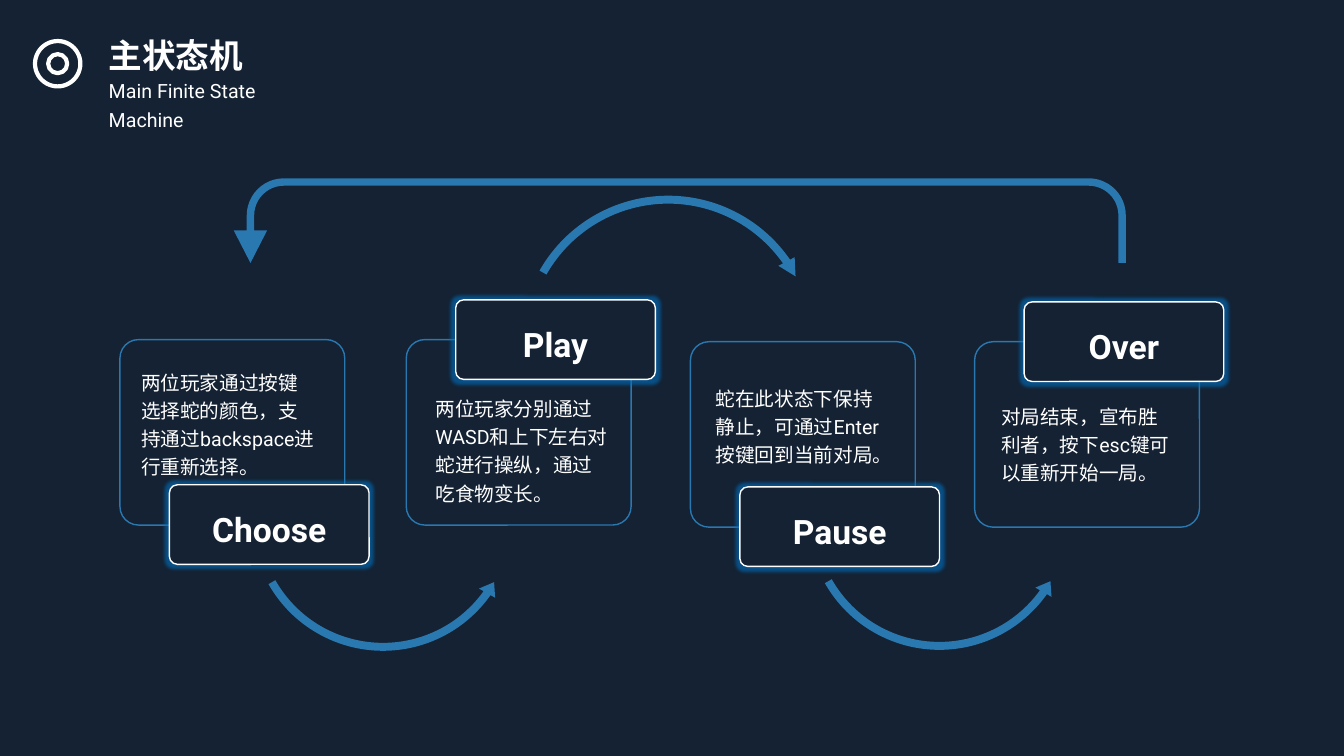
from lxml import etree
from pptx import Presentation
from pptx.dml.color import RGBColor
from pptx.enum.shapes import MSO_SHAPE
from pptx.enum.text import MSO_ANCHOR, MSO_AUTO_SIZE, PP_ALIGN
from pptx.oxml.ns import qn
from pptx.util import Pt

ROUNDED = MSO_SHAPE.ROUNDED_RECTANGLE
OVAL = MSO_SHAPE.OVAL
UTURN = MSO_SHAPE.U_TURN_ARROW
ARC_OVER = MSO_SHAPE.CIRCULAR_ARROW
ARC_UNDER = MSO_SHAPE.LEFT_CIRCULAR_ARROW
MIDDLE = MSO_ANCHOR.MIDDLE
TOP = MSO_ANCHOR.TOP
CENTER = PP_ALIGN.CENTER
LEFT = PP_ALIGN.LEFT
GROW = MSO_AUTO_SIZE.SHAPE_TO_FIT_TEXT

COLORS = {"navy": "142233", "blue": "2A78B0", "white": "FFFFFF", "glow": "0070C0"}
FONT = "Roboto"
CARD_WIDTH, CARD_HEIGHT = 160.6, 132.5
LABEL_WIDTH, LABEL_HEIGHT = 142.6, 56.8
LABEL_SHIFT = 35.3
LABEL_LOW, LABEL_HIGH = 103.7, -28.4
BODY_WIDTH = 123.8

presentation = Presentation()
presentation.slide_width = Pt(960)
presentation.slide_height = Pt(540)
slide = presentation.slides.add_slide(presentation.slide_layouts[6])
slide.background.fill.solid()
slide.background.fill.fore_color.rgb = RGBColor.from_string(COLORS["navy"])


def add_figure(kind, box, fill=None, line=None, line_width=1, adjustments=()):
    shape = slide.shapes.add_shape(kind, *[Pt(value) for value in box])
    shape.shadow.inherit = False
    if fill:
        shape.fill.solid()
        shape.fill.fore_color.rgb = RGBColor.from_string(COLORS[fill])
    else:
        shape.fill.background()
    if line:
        shape.line.color.rgb = RGBColor.from_string(COLORS[line])
        shape.line.width = Pt(line_width)
    else:
        shape.line.fill.background()
    for index, value in enumerate(adjustments):
        shape.adjustments[index] = value
    return shape


def write_text(shape, text, size, bold=False, align=LEFT, anchor=TOP):
    frame = shape.text_frame
    frame.word_wrap = True
    frame.vertical_anchor = anchor
    frame.text = text
    paragraph = frame.paragraphs[0]
    paragraph.alignment = align
    paragraph.line_spacing = 1.2
    font = paragraph.runs[0].font
    font.name = FONT
    font.size = Pt(size)
    font.bold = bold
    font.color.rgb = RGBColor.from_string(COLORS["white"])
    return frame


under_adjustments = (0.029, 3.512, 21.267, 90.245, 0.034)
over_adjustments = (0.026, 4.154, 195.129, 125.755, 0.03)
arcs = [
    (ARC_UNDER, (175.7, 272.9, 195.8, 195.8), under_adjustments),
    (ARC_OVER, (367.9, 136.1, 218.9, 218.9), over_adjustments),
    (ARC_UNDER, (573.1, 272.2, 195.8, 195.8), under_adjustments),
]
for kind, box, adjustments in arcs:
    add_figure(kind, box, fill="blue", adjustments=adjustments)

return_arrow = add_figure(UTURN, (167, 127.4, 637.2, 60.5), fill="blue",
                          adjustments=(0.088, 0.197, 0.384, 0.438, 1))
return_arrow._element.spPr.xfrm.set("flipH", "1")

states = [
    ("Choose", 85.7, 242.6, LABEL_LOW, (100.8, 261.4, 81.4),
     "两位玩家通过按键选择蛇的颜色，支持通过backspace进行重新选择。"),
    ("Play", 290.2, 242.6, LABEL_HIGH, (311, 280.1, 81.4),
     "两位玩家分别通过WASD和上下左右对蛇进行操纵，通过吃食物变长。"),
    ("Pause", 493.2, 244.1, LABEL_LOW, (511.2, 272.9, 61.2),
     "蛇在此状态下保持静止，可通过Enter按键回到当前对局。"),
    ("Over", 696.2, 244.1, LABEL_HIGH, (715, 285.8, 61.2),
     "对局结束，宣布胜利者，按下esc键可以重新开始一局。"),
]
for name, left, top, label_offset, body_box, description in states:
    add_figure(ROUNDED, (left, top, CARD_WIDTH, CARD_HEIGHT), line="blue", adjustments=(0.1,))

    label = add_figure(ROUNDED, (left + LABEL_SHIFT, top + label_offset, LABEL_WIDTH, LABEL_HEIGHT),
                       fill="navy", line="white", adjustments=(0.1,))
    effects = label._element.spPr.find(qn("a:effectLst"))
    glow = etree.SubElement(effects, qn("a:glow"), rad=str(Pt(5)))
    glow_color = etree.SubElement(glow, qn("a:srgbClr"), val=COLORS["glow"])
    etree.SubElement(glow_color, qn("a:alpha"), val="60000")
    write_text(label, name, 24, bold=True, align=CENTER, anchor=MIDDLE)

    body_left, body_top, body_height = body_box
    body = slide.shapes.add_textbox(Pt(body_left), Pt(body_top), Pt(BODY_WIDTH), Pt(body_height))
    frame = write_text(body, description, 14)
    frame.margin_left = frame.margin_right = frame.margin_top = frame.margin_bottom = 0
    frame.auto_size = GROW

subtitle = slide.shapes.add_textbox(Pt(70.6), Pt(49.7), Pt(175), Pt(27.4))
subtitle_frame = write_text(subtitle, "Main Finite State Machine", 14)
subtitle_frame.paragraphs[0].space_before = Pt(10)
subtitle_frame.auto_size = GROW

title = slide.shapes.add_textbox(Pt(70.6), Pt(15.8), Pt(208.8), Pt(41.8))
write_text(title, "主状态机", 24, bold=True).auto_size = GROW

ring_center_x, ring_center_y = 41.2, 45.5
for diameter in (32.4, 13.6):
    ring_box = (ring_center_x - diameter / 2, ring_center_y - diameter / 2, diameter, diameter)
    add_figure(OVAL, ring_box, line="white", line_width=3)

presentation.save("out.pptx")
